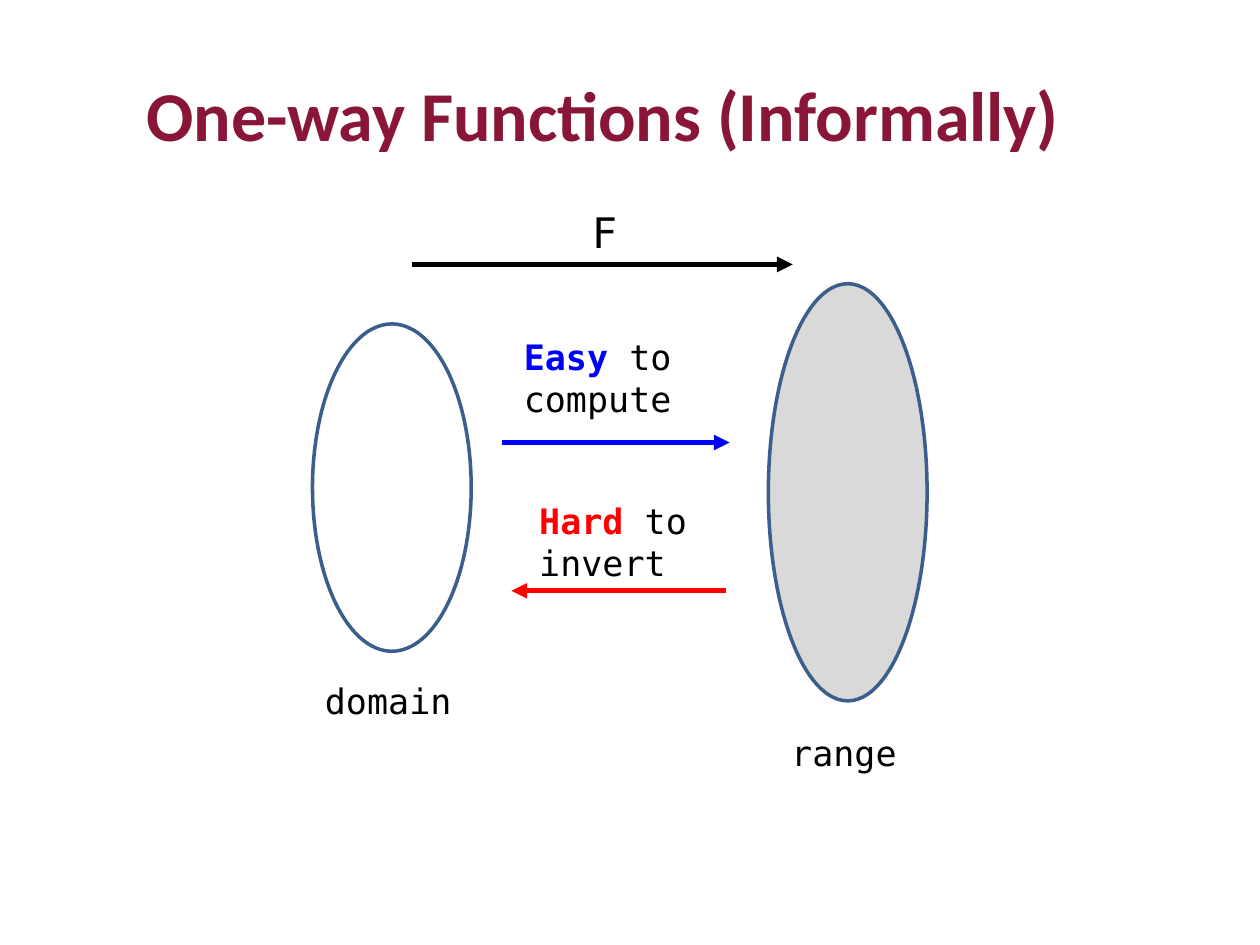
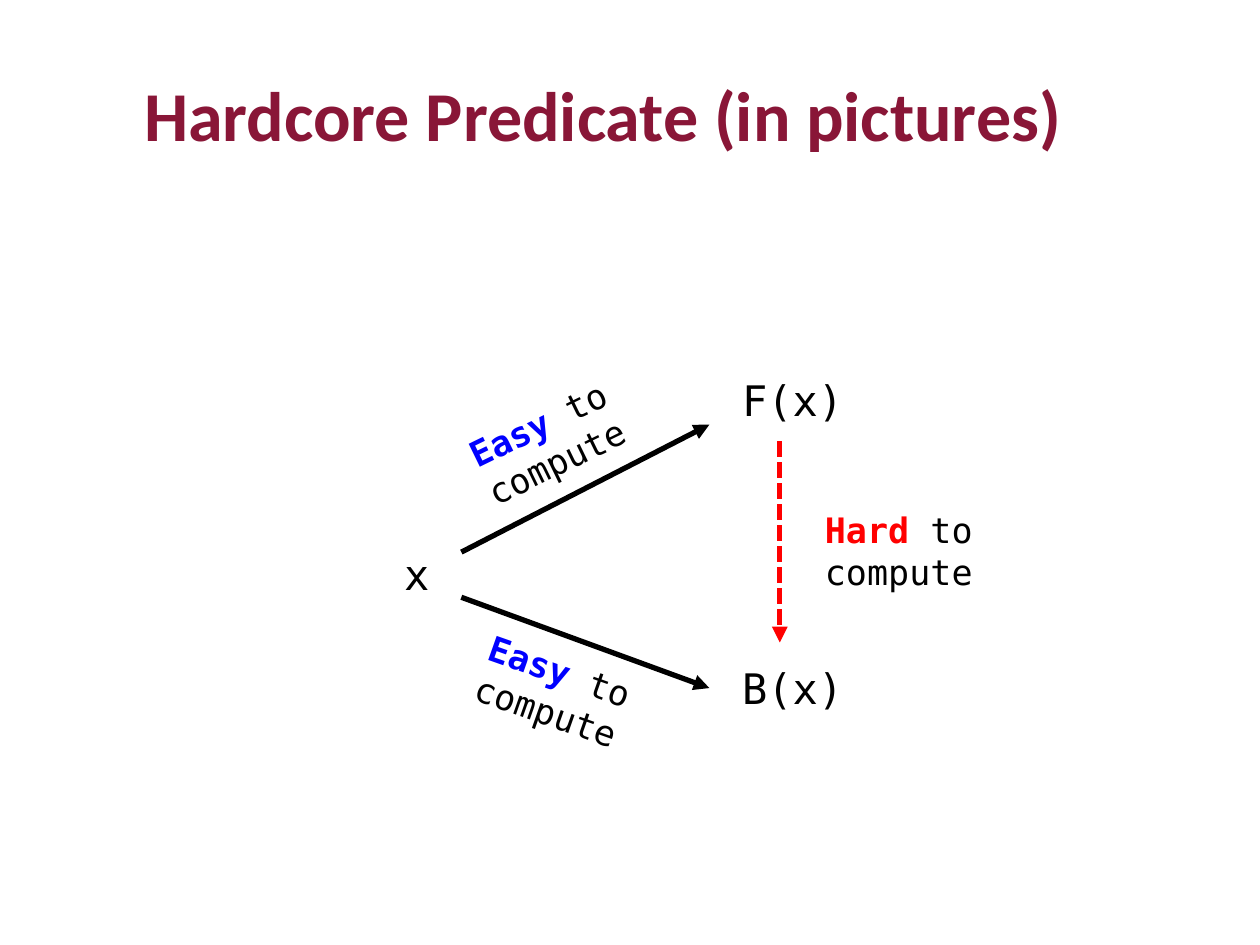
import pptx
import pptx.util
import pptx.dml.color
import pptx.enum.dml
import pptx.enum.shapes
import pptx.enum.text
import pptx.oxml.ns
from lxml import etree
from pptx.util import Cm, Pt

# Shared look
TITLE_FONT, LABEL_FONT = "Calibri", "DejaVu Sans Mono"
MAROON, BLACK, EASY_BLUE, HARD_RED = "891637", "000000", "0000FF", "FF0000"
WHITE, GREY, OUTLINE = "FFFFFF", "D9D9D9", "3A5F8C"
SYMBOL_SIZE, CAPTION_SIZE = 24, 20
LABEL_HEIGHT, PHRASE_WIDTH = 2.34, 7.37


def color(hex_code):
    return pptx.dml.color.RGBColor.from_string(hex_code)


def add_text_box(slide, left, top, width, height):
    box = slide.shapes.add_textbox(Cm(left), Cm(top), Cm(width), Cm(height))
    box.text_frame.word_wrap = True
    return box


def set_font(font, name, size, hex_code, bold=False):
    font.name, font.size, font.bold = name, Pt(size), bold
    font.color.rgb = color(hex_code)


def add_titled_slide(deck, title):
    slide = deck.slides.add_slide(deck.slide_layouts[6])
    heading = add_text_box(slide, 0.05, 1.32, 24.2, 2.21).text_frame.paragraphs[0]
    heading.text = title
    heading.alignment = pptx.enum.text.PP_ALIGN.CENTER
    set_font(heading.font, TITLE_FONT, 40, MAROON, bold=True)
    return slide


def add_label(slide, text, left, top, width, size=SYMBOL_SIZE):
    """Add a vertically centred label and return its shape."""
    label = add_text_box(slide, left, top, width, LABEL_HEIGHT)
    label.text_frame.vertical_anchor = pptx.enum.text.MSO_ANCHOR.MIDDLE
    paragraph = label.text_frame.paragraphs[0]
    paragraph.text = text
    set_font(paragraph.font, LABEL_FONT, size, BLACK)
    return label


def add_difficulty(slide, level, verb, left, top, rotation=0):
    """Add a two-line phrase such as 'Easy to / compute'."""
    phrase = add_label(slide, level, left, top, PHRASE_WIDTH, CAPTION_SIZE)
    phrase.rotation = rotation
    paragraph = phrase.text_frame.paragraphs[0]
    emphasis = paragraph.runs[0].font
    emphasis.bold = True
    emphasis.color.rgb = color(EASY_BLUE if level == "Easy" else HARD_RED)
    paragraph.add_run().text = " to"
    paragraph.add_line_break()
    paragraph.add_run().text = verb


def add_set(slide, left, top, height, fill):
    ellipse = slide.shapes.add_shape(
        pptx.enum.shapes.MSO_SHAPE.OVAL, Cm(left), Cm(top), Cm(3.2), Cm(height))
    ellipse.shadow.inherit = False
    ellipse.fill.solid()
    ellipse.fill.fore_color.rgb = color(fill)
    ellipse.line.color.rgb = color(OUTLINE)
    ellipse.line.width = Pt(2)


def add_arrow(slide, start, end, hex_code=BLACK, dashed=False):
    arrow = slide.shapes.add_connector(
        pptx.enum.shapes.MSO_CONNECTOR.STRAIGHT, *map(Cm, start + end))
    arrow.line.color.rgb = color(hex_code)
    arrow.line.width = Pt(3)
    if dashed:
        arrow.line.dash_style = pptx.enum.dml.MSO_LINE.SQUARE_DOT
    qn = pptx.oxml.ns.qn
    properties = arrow.element.spPr
    etree.SubElement(properties.find(qn("a:ln")), qn("a:tailEnd"), type="triangle")
    etree.SubElement(properties, qn("a:effectLst"))


def build_one_way_functions(deck):
    slide = add_titled_slide(deck, "One-way Functions (Informally)")

    # Domain and range
    add_set(slide, 6.3, 6.53, 6.6, WHITE)
    add_set(slide, 15.49, 5.72, 8.41, GREY)
    add_label(slide, "domain", 6.3, 12.95, 4.19, CAPTION_SIZE)
    add_label(slide, "range", 15.7, 14, 4.19, CAPTION_SIZE)

    # The function and its two directions
    add_arrow(slide, (8.31, 5.33), (15.98, 5.33))
    add_label(slide, "F", 11.68, 3.51, 1.6)
    add_arrow(slide, (10.11, 8.92), (14.71, 8.92), EASY_BLUE)
    add_difficulty(slide, "Easy", "compute", 10.31, 6.45)
    add_arrow(slide, (14.63, 11.91), (10.31, 11.91), HARD_RED)
    add_difficulty(slide, "Hard", "invert", 10.62, 9.75)


def build_hardcore_predicate(deck):
    slide = add_titled_slide(deck, "Hardcore Predicate (in pictures)")

    # Input and the two values computed from it
    add_label(slide, "x", 7.9, 10.39, 1.6)
    add_label(slide, "F(x)", 14.71, 6.88, 3.35)
    add_label(slide, "B(x)", 14.71, 12.7, 3.35)

    # Easy from x, hard from F(x) to B(x)
    add_arrow(slide, (9.3, 11.13), (14.3, 8.56))
    add_difficulty(slide, "Easy", "compute", 9.09, 6.9, rotation=-26)
    add_arrow(slide, (9.3, 12.04), (14.3, 13.87))
    add_difficulty(slide, "Easy", "compute", 9.3, 13.4, rotation=19.4)
    add_arrow(slide, (15.72, 8.89), (15.72, 12.95), HARD_RED, dashed=True)
    add_difficulty(slide, "Hard", "compute", 16.38, 9.92)


def main():
    deck = pptx.Presentation()
    deck.slide_width, deck.slide_height = Cm(25.4), Cm(19.05)
    build_one_way_functions(deck)
    build_hardcore_predicate(deck)
    deck.save("out.pptx")


if __name__ == "__main__":
    main()
